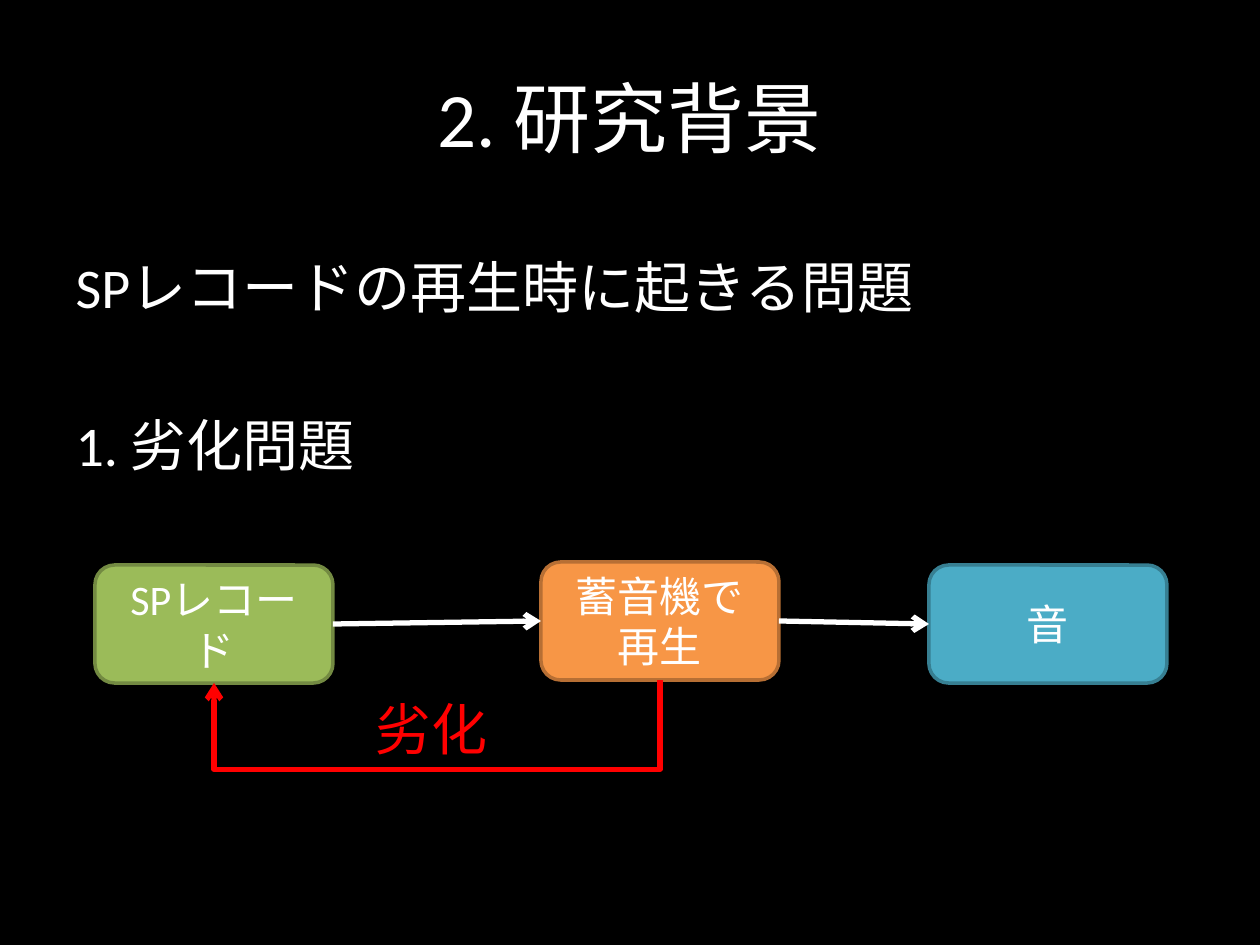
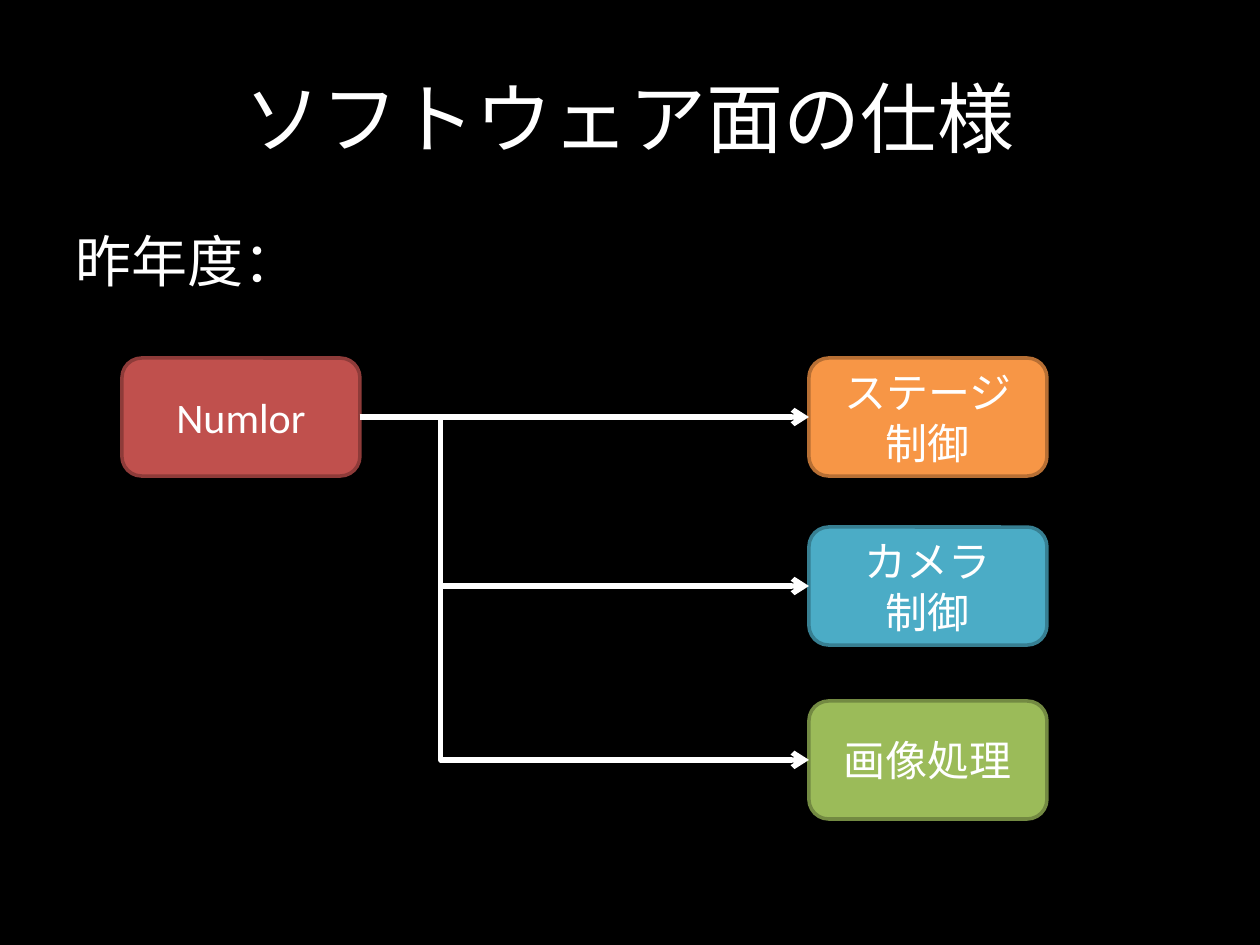
from pptx import Presentation
from pptx.dml.color import RGBColor as Rgb
from pptx.enum.shapes import MSO_CONNECTOR as Link, MSO_SHAPE as Form
from pptx.enum.text import MSO_ANCHOR as Anchor, MSO_AUTO_SIZE as Fit, PP_ALIGN as Align
from pptx.oxml.ns import qn
from pptx.util import Pt
from lxml.etree import SubElement as Sub

SCALE = 914400 / 126
FONT = "Calibri"
BLACK, WHITE = Rgb(0, 0, 0), Rgb(255, 255, 255)
SIGNAL = Rgb(255, 0, 0)
GREEN = Rgb(0x9B, 0xBB, 0x59), Rgb(0x73, 0x8A, 0x42)
ORANGE = Rgb(0xF7, 0x96, 0x46), Rgb(0xB7, 0x6F, 0x34)
BLUE = Rgb(0x4B, 0xAC, 0xC6), Rgb(0x37, 0x7F, 0x92)
BRICK = Rgb(0xC0, 0x50, 0x4D), Rgb(0x8E, 0x3B, 0x39)
BOX_W, BOX_H = 238, 118
LEFT, BOTTOM, RIGHT = 1, 2, 3


def px(num):
    """Turn pixels into EMU."""
    return round(num * SCALE)


def place(shape, x, y, wide, high):
    """Move and size a shape."""
    shape.left, shape.top, shape.width, shape.height = map(px, (x, y, wide, high))


def write(shape, *lines, size=24, color=WHITE, align=Align.CENTER,
          anchor=Anchor.MIDDLE, gap=None):
    """Fill a shape with formatted paragraphs."""
    frame = shape.text_frame
    frame.word_wrap = True
    frame.auto_size = Fit.NONE
    frame.vertical_anchor = anchor
    for num, line in enumerate(lines):
        para = frame.add_paragraph() if num else frame.paragraphs[0]
        para.text = line
        para.alignment = align
        if num and gap:
            para.space_before = Pt(gap)
        for run in para.runs:
            font = run.font
            font.name, font.size = FONT, Pt(size)
            font.color.rgb = color


def add_page(deck, title, top, *lines):
    """Add a slide with its title and plain body lines."""
    page = deck.slides.add_slide(deck.slide_layouts[1])
    head, body = page.placeholders
    place(head, 63, 38, 1134, 158)
    write(head, title, size=44)
    place(body, 63, top, 1134, 624)
    write(body, *lines, size=32, align=Align.LEFT, anchor=Anchor.TOP, gap=52)
    for para in body.text_frame.paragraphs:
        props = para._p.get_or_add_pPr()
        props.set("marL", "0")
        props.set("indent", "0")
        Sub(props, qn("a:buNone"))
    return page


def add_box(page, text, x, y, tones):
    """Add a rounded box."""
    box = page.shapes.add_shape(Form.ROUNDED_RECTANGLE, 0, 0, 0, 0)
    place(box, x, y, BOX_W, BOX_H)
    box.shadow.inherit = False
    box.fill.solid()
    box.fill.fore_color.rgb, box.line.color.rgb = tones
    box.line.width = Pt(2)
    write(box, text)
    return box


def bend(line, ratio):
    """Set where a bent connector turns."""
    guides = line._element.spPr.find(qn("a:prstGeom")).get_or_add_avLst()
    Sub(guides, qn("a:gd"), name="adj1", fmla=f"val {round(ratio * 100000)}")


def add_arrow(page, start, end, kind=Link.STRAIGHT, sides=(RIGHT, LEFT), color=WHITE):
    """Join two boxes with an arrow."""
    line = page.shapes.add_connector(kind, 0, 0, 0, 0)
    line.begin_connect(start, sides[0])
    line.end_connect(end, sides[1])
    line.line.color.rgb = color
    line.line.width = Pt(3)
    Sub(line.line._get_or_add_ln(), qn("a:tailEnd"), type="arrow")
    Sub(line._element.spPr, qn("a:effectLst"))
    return line


def add_loop(page, start, end, depth):
    """Lead an arrow back below two boxes."""
    line = add_arrow(page, start, end, Link.ELBOW, (BOTTOM, BOTTOM), SIGNAL)
    rise, span = line.height, line.width
    line.left += (span - rise) // 2
    line.top -= (span - rise) // 2
    line.width, line.height = rise, span
    frame = line._element.spPr.xfrm
    frame.flipH = False
    frame.set("rot", "5400000")
    bend(line, px(depth) / rise)


def add_cause(deck):
    """Build the slide on record wear."""
    page = add_page(deck, "2. 研究背景", 246, "SPレコードの再生時に起きる問題", "1. 劣化問題")
    disc = add_box(page, "SPレコード", 95, 565, GREEN)
    play = add_box(page, "蓄音機で再生", 541, 562, ORANGE)
    sound = add_box(page, "音", 929, 565, BLUE)
    add_arrow(page, disc, play)
    add_arrow(page, play, sound)
    add_loop(page, play, disc, 90)
    label = page.shapes.add_textbox(0, 0, 0, 0)
    place(label, 258, 688, 348, 81)
    write(label, "劣化", size=32, color=SIGNAL, anchor=Anchor.TOP)


def add_design(deck):
    """Build the slide on the software."""
    page = add_page(deck, "ソフトウェア面の仕様", 220, "昨年度：")
    root = add_box(page, "Numlor", 122, 358, BRICK)
    tasks = (("ステージ\v制御", 358, ORANGE), ("カメラ\v制御", 527, BLUE),
             ("画像処理", 701, GREEN))
    for text, y, tones in tasks:
        task = add_box(page, text, 809, y, tones)
        if task.top == root.top:
            add_arrow(page, root, task)
        else:
            bend(add_arrow(page, root, task, Link.ELBOW), 0.18)


def main():
    """Build and save the deck."""
    deck = Presentation()
    deck.slide_width, deck.slide_height = px(1260), px(945)
    back = deck.slide_master.background.fill
    back.solid()
    back.fore_color.rgb = BLACK
    add_cause(deck)
    add_design(deck)
    deck.save("out.pptx")


main()
